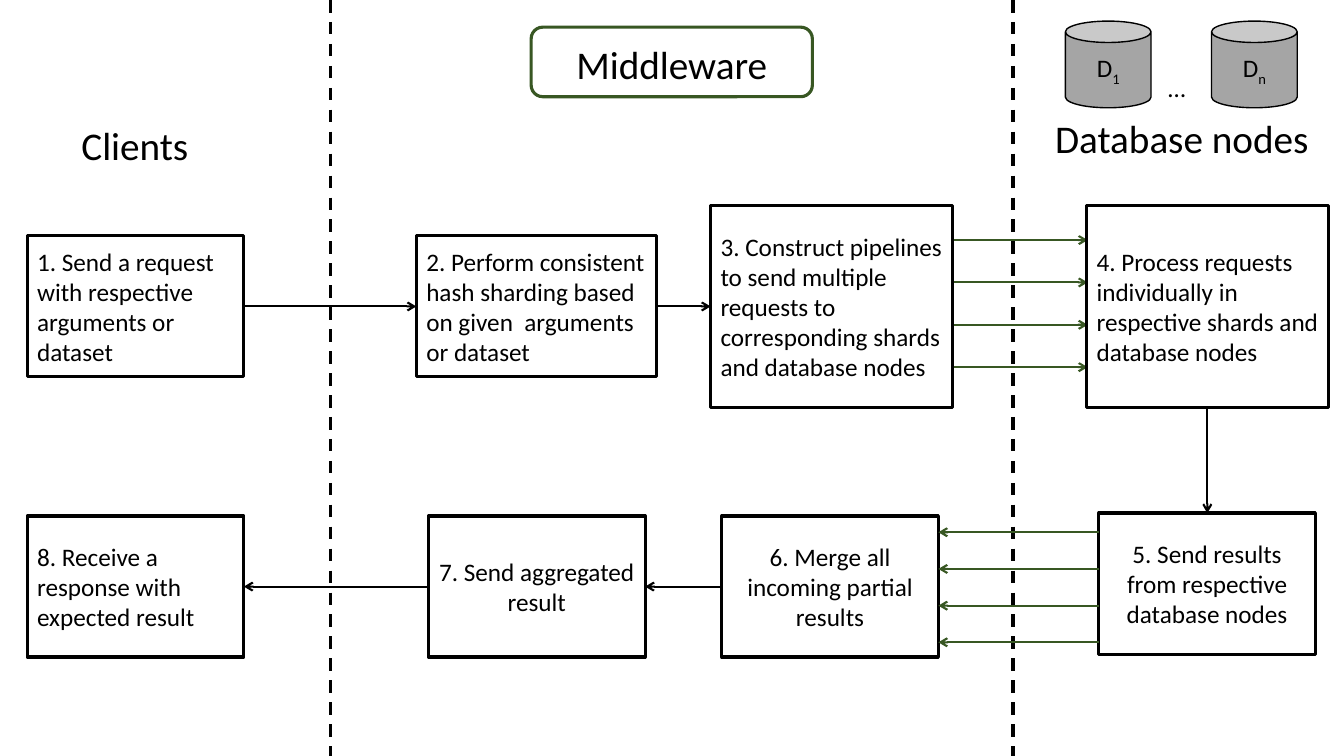
from lxml.etree import SubElement
from pptx import Presentation
from pptx.dml.color import RGBColor
from pptx.enum.dml import MSO_LINE
from pptx.enum.shapes import MSO_CONNECTOR, MSO_SHAPE
from pptx.enum.text import MSO_ANCHOR, MSO_AUTO_SIZE, PP_ALIGN
from pptx.oxml.ns import qn
from pptx.util import Pt

COLORS = {"black": "000000", "white": "FFFFFF", "green": "385723", "gray": "A5A5A5"}
LEFT, CENTER = PP_ALIGN.LEFT, PP_ALIGN.CENTER
HEIGHT = 540
TOP_MID, BOTTOM_MID = 218.9, 419


def color(name):
    return RGBColor.from_string(COLORS[name])


def add_text(p, text, size=18, align=LEFT, subscript=False):
    p.alignment = align
    r = p.add_run()
    r.text = text
    r.font.name = "Calibri"
    r.font.size = Pt(size)
    r.font.color.rgb = color("black")
    if subscript:
        r._r.get_or_add_rPr().set("baseline", "-25000")


def add_node(s, kind, x, y, w, h, fill="white", line="black", width=2.25):
    sp = s.shapes.add_shape(kind, Pt(x), Pt(y), Pt(w), Pt(h))
    sp.shadow.inherit = False
    sp.fill.solid()
    sp.fill.fore_color.rgb = color(fill)
    sp.line.color.rgb = color(line)
    sp.line.width = Pt(width)
    sp.text_frame.vertical_anchor = MSO_ANCHOR.MIDDLE
    return sp.text_frame.paragraphs[0]


def add_step(s, text, x, y, w=154.8, h=100.8, align=LEFT):
    add_text(add_node(s, MSO_SHAPE.RECTANGLE, x, y, w, h), text, align=align)


def add_database(s, index, x):
    p = add_node(s, MSO_SHAPE.CAN, x, 15.1, 61.2, 61.9, fill="gray", width=1)
    add_text(p, "D", align=CENTER)
    add_text(p, index, align=CENTER, subscript=True)


def add_label(s, text, x, y, w, h, size=28):
    tf = s.shapes.add_textbox(Pt(x), Pt(y), Pt(w), Pt(h)).text_frame
    tf.word_wrap = False
    tf.auto_size = MSO_AUTO_SIZE.SHAPE_TO_FIT_TEXT
    add_text(tf.paragraphs[0], text, size=size)


def add_line(s, x1, y1, x2, y2, line="black", width=1.5):
    c = s.shapes.add_connector(MSO_CONNECTOR.STRAIGHT, Pt(x1), Pt(y1), Pt(x2), Pt(y2))
    c.line.color.rgb = color(line)
    c.line.width = Pt(width)
    SubElement(c._element.spPr, qn("a:effectLst"))
    return c


def add_divider(s, x):
    add_line(s, x, 0, x, HEIGHT, width=2.25).line.dash_style = MSO_LINE.DASH


def add_arrow(s, x1, y1, x2, y2, line="black"):
    c = add_line(s, x1, y1, x2, y2, line)
    SubElement(c.line._get_or_add_ln(), qn("a:tailEnd"), type="arrow")


def add_parallel_arrows(s, x1, x2, top, step):
    for i in range(4):
        y = top + i * step
        add_arrow(s, x1, y, x2, y, line="green")


def add_headings(s):
    p = add_node(s, MSO_SHAPE.ROUNDED_RECTANGLE, 379.4, 19.4, 200.9, 49.7, line="green")
    p.line_spacing = 1.07
    p.space_after = Pt(8)
    add_text(p, "Middleware", size=28, align=CENTER)
    add_label(s, "Clients", 51.1, 82.8, 91.4, 41)
    add_label(s, "Database nodes", 746.6, 77.8, 197.3, 41)
    add_database(s, "1", 761)
    add_database(s, "n", 865.4)
    add_label(s, "…", 827.3, 48.2, 36, 34.6, size=18)


def add_request_row(s):
    add_parallel_arrows(s, 671, 776.9, 171.5, 30.25)
    add_step(s, "1. Send a request with respective arguments or dataset", 19.4, 168.5)
    add_step(s, "2. Perform consistent hash sharding based on given  arguments or dataset",
             297.4, 168.5, w=171.4)
    add_step(s, "3. Construct pipelines to send multiple requests to corresponding shards "
             "and database nodes", 507.6, 146.9, w=172.8, h=144)
    add_step(s, "4. Process requests individually in respective shards and database nodes",
             776.2, 146.9, w=172.8, h=144)
    add_arrow(s, 174.6, TOP_MID, 297.4, TOP_MID)
    add_arrow(s, 469, TOP_MID, 507.6, TOP_MID)


def add_response_row(s):
    add_step(s, "5. Send results from respective database nodes", 784.8, 366.5, align=CENTER)
    add_step(s, "6. Merge all incoming partial results", 515.5, 368.6, align=CENTER)
    add_step(s, "7. Send aggregated result", 306, 368.6, align=CENTER)
    add_step(s, "8. Receive a response with expected result", 19.4, 368.6)
    add_arrow(s, 862.4, 290.9, 862.4, 366.5)
    add_parallel_arrows(s, 784.8, 670.3, 380.2, 26.2)
    add_arrow(s, 515.5, BOTTOM_MID, 460.8, BOTTOM_MID)
    add_arrow(s, 306, BOTTOM_MID, 174.2, BOTTOM_MID)


def main():
    prs = Presentation()
    prs.slide_width, prs.slide_height = Pt(960), Pt(HEIGHT)
    s = prs.slides.add_slide(prs.slide_layouts[6])
    for x in (236.2, 723.6):
        add_divider(s, x)
    add_headings(s)
    add_request_row(s)
    add_response_row(s)
    prs.save("out.pptx")


if __name__ == "__main__":
    main()
